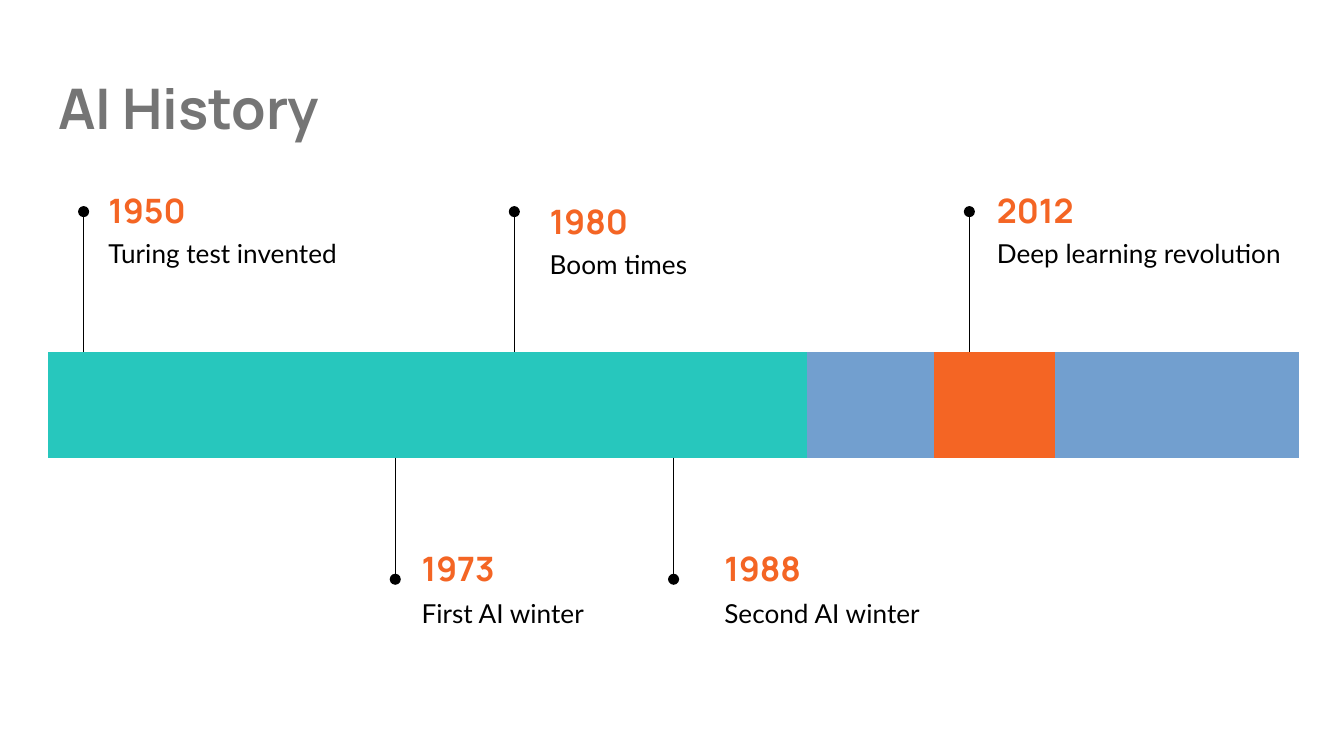
from lxml.etree import SubElement
from pptx import Presentation
from pptx.dml.color import RGBColor
from pptx.enum.shapes import MSO_CONNECTOR
from pptx.enum.text import MSO_ANCHOR as Anchor, MSO_AUTO_SIZE, PP_ALIGN
from pptx.oxml.ns import qn
from pptx.util import Cm, Pt

THEME = {
    "heading_font": "Manrope", "body_font": "Lato",
    "title_size": 30, "year_size": 18, "detail_size": 14,
    "grey": "757575", "black": "000000",
    "teal": "27C7BD", "blue": "729FCF", "orange": "F46524",
}
NO_STYLE_NO_GRID = "{2D5ABB26-0587-4C30-8999-92F81FD0307C}"

# Lengths below are in centimetres.
TITLE = "AI History"
STEP_WIDTHS = [1.15] * 11 + [1.71, 0.62, 0.62] + [1.15] * 7
# colour and number of steps of each cell of the bar
PERIODS = [("teal", 1)] * 8 + [("teal", 4), ("orange", 1), ("orange", 8)]
# year, event, side of the bar, pin x, label x, extra drop of the label
EVENTS = [
    ("1950", "Turing test invented", "above", 1.58, 1.8, 0),
    ("1973", "First AI winter", "below", 7.47, 7.72, 0),
    ("1980", "Boom times", "above", 9.72, 10.14, 0.2),
    ("1988", "Second AI winter", "below", 12.73, 13.44, 0),
    ("2012", "Deep learning revolution", "above", 18.32, 18.59, 0),
]
BAR_LEFT, BAR_TOP, BAR_HEIGHT = 0.91, 6.65, 2
SIDES = {
    "above": {"bar_edge": BAR_TOP, "tip": 4, "year_top": 3.43, "detail_gap": 0.72},
    "below": {"bar_edge": BAR_TOP + BAR_HEIGHT, "tip": 10.95, "year_top": 10.19,
              "detail_gap": 0.76},
}
LABEL_WIDTH, YEAR_HEIGHT, DETAIL_HEIGHT = 6.5, 1.09, 1.6
INSET = 0.25


def write(holder, text, *, font, size, color, bold=False, anchor=Anchor.TOP, spacing=1.0):
    frame = holder.text_frame
    frame.text = text
    frame.word_wrap = True
    frame.auto_size = MSO_AUTO_SIZE.NONE
    frame.vertical_anchor = anchor
    frame.margin_left = frame.margin_right = Cm(INSET)
    frame.margin_top = frame.margin_bottom = Cm(INSET)
    paragraph = frame.paragraphs[0]
    paragraph.alignment = PP_ALIGN.LEFT
    paragraph.line_spacing = spacing
    paragraph.space_before = Pt(0)
    style = paragraph.runs[0].font
    style.name, style.size, style.bold = THEME[font], Pt(THEME[size]), bold
    style.color.rgb = RGBColor.from_string(THEME[color])


def paint(cell, color):
    cell.fill.solid()
    cell.fill.fore_color.rgb = RGBColor.from_string(THEME[color])


def add_bar(slide):
    frame = slide.shapes.add_table(1, len(STEP_WIDTHS), Cm(BAR_LEFT), Cm(BAR_TOP),
                                   Cm(sum(STEP_WIDTHS)), Cm(BAR_HEIGHT))
    bar = frame.table
    bar.first_row = bar.horz_banding = False
    frame.element.find(".//" + qn("a:tableStyleId")).text = NO_STYLE_NO_GRID
    for index, width in enumerate(STEP_WIDTHS):
        bar.columns[index].width = Cm(width)
        paint(bar.cell(0, index), "blue")
    start = 0
    for color, steps in PERIODS:
        period = bar.cell(0, start)
        paint(period, color)
        if steps > 1:
            period.merge(bar.cell(0, start + steps - 1))
        start += steps


def add_pin(slide, x, bar_edge, tip):
    """Draw a line from the bar that ends in a round dot."""
    pin = slide.shapes.add_connector(MSO_CONNECTOR.STRAIGHT, Cm(x), Cm(bar_edge),
                                     Cm(x), Cm(tip))
    pin.line.width = Pt(0.75)
    pin.line.color.rgb = RGBColor.from_string(THEME["black"])
    properties = pin.element.spPr
    SubElement(properties.find(qn("a:ln")), qn("a:tailEnd"), type="oval")
    SubElement(properties, qn("a:effectLst"))


def add_event(slide, year, event, side, pin_x, label_x, drop):
    place = SIDES[side]
    add_pin(slide, pin_x, place["bar_edge"], place["tip"])
    year_top = place["year_top"] + drop
    year_box = slide.shapes.add_textbox(Cm(label_x), Cm(year_top),
                                        Cm(LABEL_WIDTH), Cm(YEAR_HEIGHT))
    write(year_box, year, font="heading_font", size="year_size", color="orange",
          bold=True, anchor=Anchor.MIDDLE)
    detail_box = slide.shapes.add_textbox(Cm(label_x), Cm(year_top + place["detail_gap"]),
                                          Cm(LABEL_WIDTH), Cm(DETAIL_HEIGHT))
    write(detail_box, event, font="body_font", size="detail_size", color="black",
          spacing=1.15)


def main():
    deck = Presentation()
    deck.slide_width, deck.slide_height = Cm(25.4), Cm(14.29)
    slide = deck.slides.add_slide(deck.slide_layouts[5])
    title = slide.shapes.title
    title.left, title.top, title.width, title.height = Cm(0.85), Cm(1.14), Cm(23.67), Cm(1.78)
    write(title, TITLE, font="heading_font", size="title_size", color="grey", bold=True)
    add_bar(slide)
    for event in EVENTS:
        add_event(slide, *event)
    deck.save("out.pptx")


if __name__ == "__main__":
    main()
